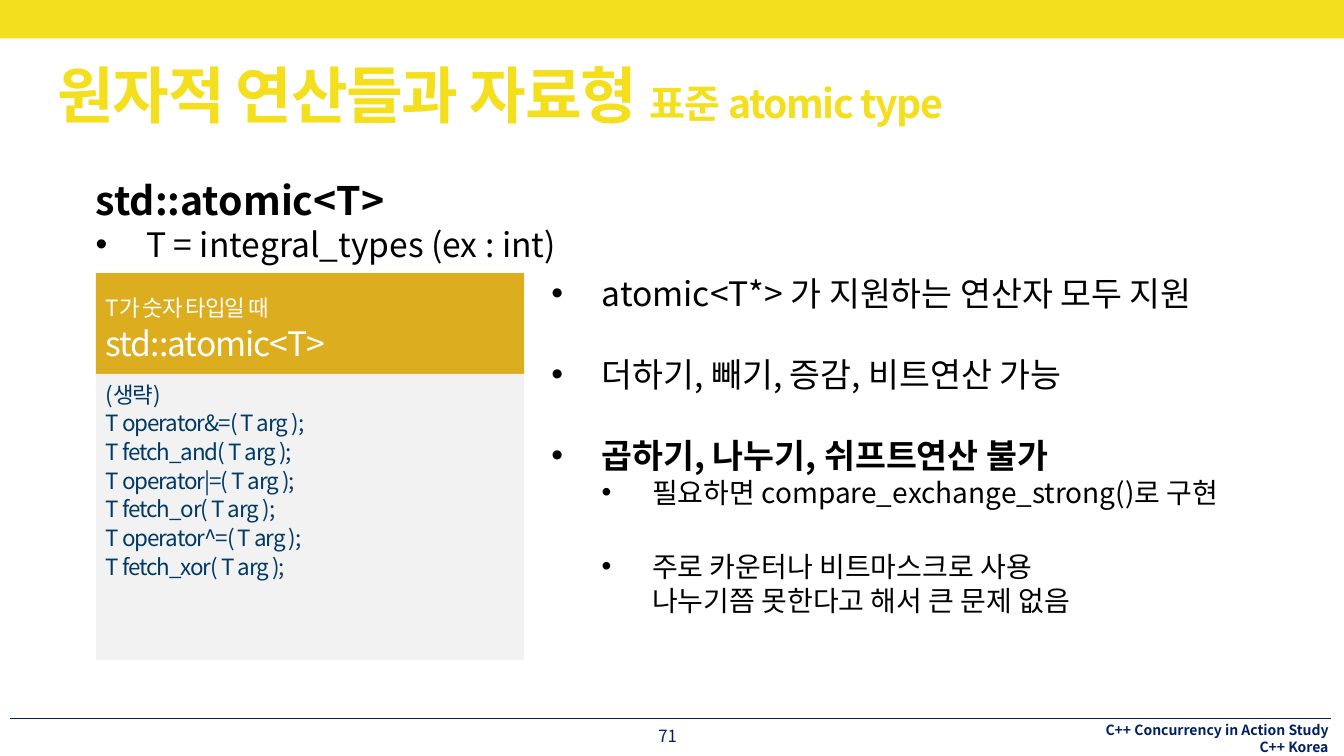
from dataclasses import dataclass

from lxml import etree
from pptx import Presentation
from pptx.dml.color import RGBColor
from pptx.enum.shapes import MSO_CONNECTOR, MSO_SHAPE
from pptx.enum.text import MSO_ANCHOR, MSO_AUTO_SIZE, PP_ALIGN
from pptx.oxml.ns import qn
from pptx.util import Pt

RECT, STRAIGHT = MSO_SHAPE.RECTANGLE, MSO_CONNECTOR.STRAIGHT
LEFT, CENTER, RIGHT = PP_ALIGN.LEFT, PP_ALIGN.CENTER, PP_ALIGN.RIGHT
TOP, BOTTOM = MSO_ANCHOR.TOP, MSO_ANCHOR.BOTTOM
NO_FIT = MSO_AUTO_SIZE.NONE


@dataclass(frozen=True)
class Theme:
    font: str = "Noto Sans CJK KR"
    yellow: str = "F4DF1E"
    gold: str = "DCAD1F"
    gray: str = "F2F2F2"
    navy: str = "002060"
    code_blue: str = "003963"
    white: str = "FFFFFF"
    black: str = "000000"
    title: float = 44
    heading: float = 28
    bullet: float = 24
    sub_bullet: float = 20
    code: float = 16
    page: float = 12
    footer: float = 10


THEME = Theme()


@dataclass(frozen=True)
class Box:
    left: float
    top: float
    width: float
    height: float

    def lengths(self) -> tuple:
        return Pt(self.left), Pt(self.top), Pt(self.width), Pt(self.height)


@dataclass(frozen=True)
class Line:
    text: str
    size: float
    bold: bool = False
    level: int | None = None  # bullet level; None means no bullet
    before: float = 0


@dataclass(frozen=True)
class Panel:
    box: Box
    fill: str
    color: str
    anchor: MSO_ANCHOR
    inset_top: float
    lines: list[Line]


def rgb(color: str) -> RGBColor:
    return RGBColor.from_string(color)


def add_run(p, text: str, *, size: float, color: str, bold: bool = False,
            tracking: float = 0) -> None:
    r = p.add_run()
    r.text = text
    r.font.size, r.font.bold, r.font.name = Pt(size), bold, THEME.font
    r.font.color.rgb = rgb(color)
    r_pr = r.font._element
    etree.SubElement(r_pr, qn("a:ea")).set("typeface", THEME.font)
    if tracking:
        r_pr.set("spc", str(round(tracking * 100)))


def add_bullet(p, level: int) -> None:
    p.level = level
    p_pr = p._p.get_or_add_pPr()
    p_pr.set("marL", str(Pt(36 * (level + 1))))
    p_pr.set("indent", str(Pt(-36)))
    etree.SubElement(p_pr, qn("a:buFont")).set("typeface", "Arial")
    etree.SubElement(p_pr, qn("a:buChar")).set("char", "•")


def set_frame(tf, *, insets: tuple = (0, 0, 0, 0), anchor=TOP, wrap: bool = True) -> None:
    tf.word_wrap, tf.vertical_anchor, tf.auto_size = wrap, anchor, NO_FIT
    tf.margin_left, tf.margin_top, tf.margin_right, tf.margin_bottom = map(Pt, insets)


def write_lines(tf, lines: list[Line], *, color: str, align=LEFT,
                spacing: float = 1, tracking: float = 0) -> None:
    for i, line in enumerate(lines):
        p = tf.add_paragraph() if i else tf.paragraphs[0]
        if line.level is not None:
            add_bullet(p, line.level)
        p.alignment, p.line_spacing = align, spacing
        p.space_before = Pt(line.before if i else 0)
        for j, part in enumerate(line.text.split("\n")):
            if j:
                p.add_line_break()
            add_run(p, part, size=line.size, color=color, bold=line.bold,
                    tracking=tracking)


def add_text(s, box: Box, lines: list[Line], *, color: str = THEME.black,
             align=LEFT, insets: tuple = (0, 0, 0, 0), wrap: bool = True) -> None:
    tf = s.shapes.add_textbox(*box.lengths()).text_frame
    set_frame(tf, insets=insets, wrap=wrap)
    write_lines(tf, lines, color=color, align=align)


def add_rect(s, box: Box, fill: str):
    sp = s.shapes.add_shape(RECT, *box.lengths())
    sp.shadow.inherit = False
    sp.fill.solid()
    sp.fill.fore_color.rgb = rgb(fill)
    sp.line.fill.background()
    return sp


def add_panel(s, panel: Panel) -> None:
    tf = add_rect(s, panel.box, panel.fill).text_frame
    set_frame(tf, insets=(7.2, panel.inset_top, 3.6, 7.2), anchor=panel.anchor)
    write_lines(tf, panel.lines, color=panel.color, spacing=0.9, tracking=-0.7)


def add_rule(s, left: float, right: float, y: float) -> None:
    rule = s.shapes.add_connector(STRAIGHT, Pt(left), Pt(y), Pt(right), Pt(y))
    rule.line.color.rgb, rule.line.width = rgb(THEME.navy), Pt(1)
    etree.SubElement(rule._element.spPr, qn("a:effectLst"))


def set_title(s, main: str, detail: str) -> None:
    title = s.shapes.title
    title.left, title.top, title.width, title.height = Box(41, 46.8, 878.4, 48.2).lengths()
    set_frame(title.text_frame)
    p = title.text_frame.paragraphs[0]
    p.alignment, p.line_spacing = LEFT, 0.9
    for text, size in ((main, THEME.title), (detail, THEME.heading)):
        add_run(p, text, size=size, color=THEME.yellow, bold=True, tracking=-1)


CODE = ["(생략)", "T operator&=( T arg );", "T fetch_and( T arg );",
        "T operator|=( T arg );", "T fetch_or( T arg );",
        "T operator^=( T arg );", "T fetch_xor( T arg );"]
PANELS = [
    Panel(Box(68.4, 195.1, 306, 72), THEME.gold, THEME.white, BOTTOM, 3.6,
          [Line("T가 숫자 타입일 때", THEME.code),
           Line("std::atomic<T>", THEME.bullet, before=4.8)]),
    Panel(Box(68.4, 267.1, 306, 204.5), THEME.gray, THEME.code_blue, TOP, 7.2,
          [Line(text, THEME.code, before=3.2) for text in CODE]),
]
HEADING = [Line("std::atomic<T>", THEME.heading, bold=True),
           Line("T = integral_types (ex : int)", THEME.bullet, level=0)]
GAP = 29
NOTES = [
    Line("atomic<T*> 가 지원하는 연산자 모두 지원", THEME.bullet, level=0),
    Line("더하기, 빼기, 증감, 비트연산 가능", THEME.bullet, level=0, before=GAP),
    Line("곱하기, 나누기, 쉬프트연산 불가", THEME.bullet, bold=True, level=0, before=GAP),
    Line("필요하면 compare_exchange_strong()로 구현", THEME.sub_bullet, level=1),
    Line("주로 카운터나 비트마스크로 사용\n나누기쯤 못한다고 해서 큰 문제 없음",
         THEME.sub_bullet, level=1, before=GAP),
]
FOOTER = [Line(text, THEME.footer, bold=True)
          for text in ("C++ Concurrency in Action Study", "C++ Korea")]


def main() -> None:
    prs = Presentation()
    prs.slide_width, prs.slide_height = Pt(960), Pt(540)
    s = prs.slides.add_slide(prs.slide_layouts[5])
    add_rule(s, 7.2, 950.4, 513.4)
    add_text(s, Box(786.2, 515.5, 162.7, 24.5), FOOTER, color=THEME.navy,
             align=RIGHT, wrap=False)
    add_rect(s, Box(0, 0, 960, 27.4), THEME.yellow)
    set_title(s, "원자적 연산들과 자료형 ", "표준 atomic type")
    for panel in PANELS:
        add_panel(s, panel)
    add_text(s, Box(437, 514.8, 80, 22.3), [Line("71", THEME.page)],
             color=THEME.navy, align=CENTER, insets=(7.2, 3.6, 7.2, 3.6))
    add_text(s, Box(68.4, 126, 333.4, 63.4), HEADING)
    add_text(s, Box(393.8, 195.1, 501.1, 276.5), NOTES)
    prs.save("out.pptx")


if __name__ == "__main__":
    main()
